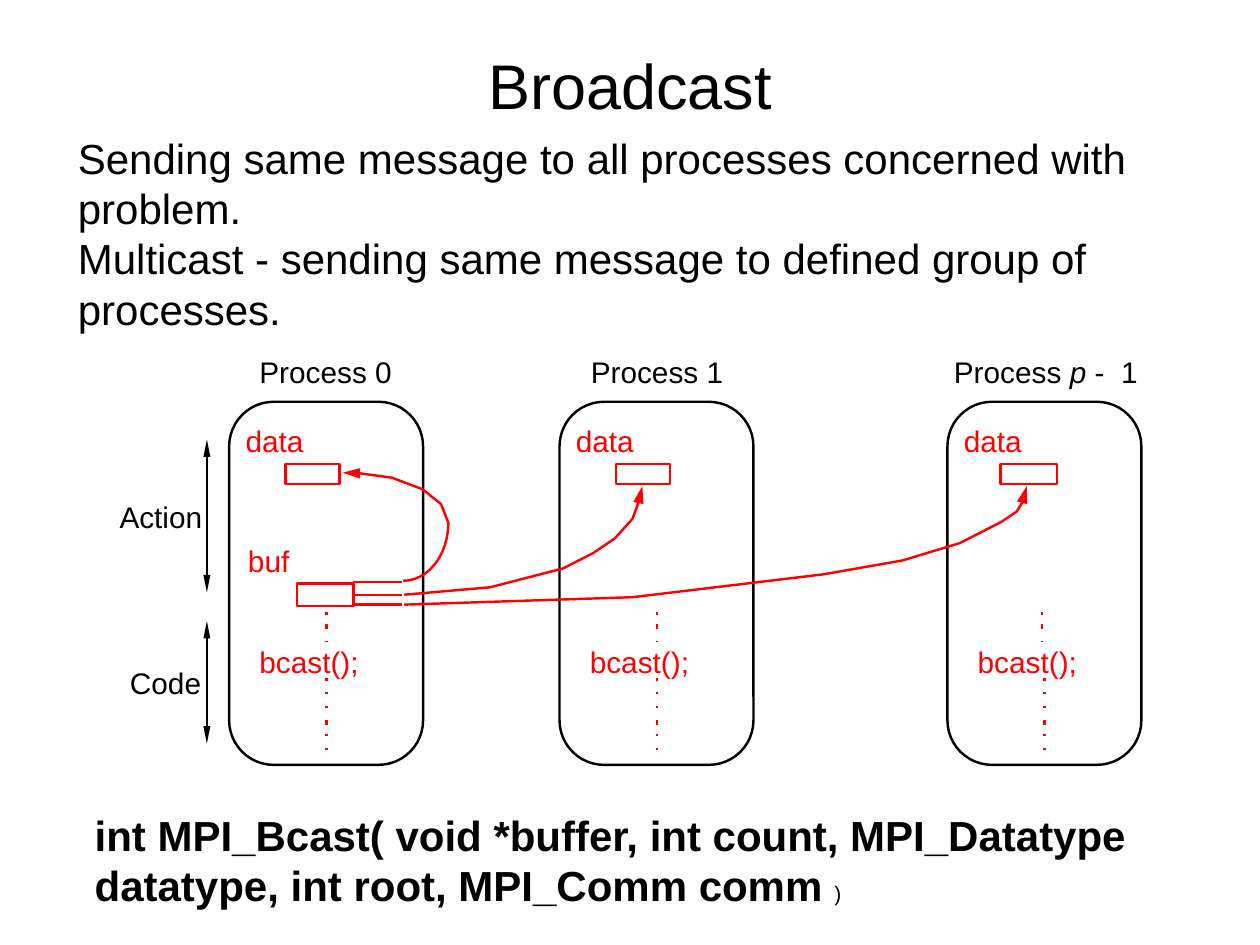
import math
import pptx
import pptx.util
import pptx.dml.color
import pptx.enum.shapes
import pptx.enum.text
import pptx.oxml.ns
import lxml.etree

Cm, Pt = pptx.util.Cm, pptx.util.Pt
RGB = pptx.dml.color.RGBColor
SHAPE = pptx.enum.shapes.MSO_SHAPE
TEXT = pptx.enum.text


class Theme:
    ink = RGB(0, 0, 0)
    red = RGB(255, 0, 0)
    font = "Arial"
    title, body, label, small = 36, 24, 17, 12
    line = 1.39


# Content: a run is (text, style), with style made of "b" and "i"
TITLE = "Broadcast"
BODY = ["Sending same message to all processes concerned with problem.",
        "Multicast - sending same message to defined group of processes."]
CODE = "int MPI_Bcast( void *buffer, int count, MPI_Datatype datatype, int root, MPI_Comm comm "

# Processes: left edge, name runs, name offset and width,
# data box offset and width, upper dots offset
PROCS = [
    (4.62, [("Process 0", "")], 0.61, 3, 1.14, 1.09, 1.96),
    (11.28, [("Process 1", "")], 0.63, 3, 1.14, 1.09, 1.96),
    (19.1, [("Process ", ""), ("p", "i"), (" -  1", "")], 0.13, 4.2, 1.07, 1.14, 1.9),
]
# Phases: name, left, top, width, arrow top, arrow end
PHASES = [("Action", 2.41, 10.06, 1.75, 8.86, 11.94),
          ("Code", 2.62, 13.41, 1.5, 12.52, 14.99)]

# Dots around the code call: top and length
DOTS = [(12.34, 0.05), (12.57, 0.1), (12.93, 0.01)]
DOTS_LOW = [(13.67 + 0.28 * n, 0.1 if n == 3 else 0.05) for n in range(6)]

# Message routes, from the buffer to each data box
ARC = [(8.13 + 0.91 * math.sin(n * math.pi / 24),
        10.54 + 1.17 * math.cos(n * math.pi / 24)) for n in range(13)]
ROUTES = [
    ARC + [(8.89, 10.16), (8.51, 9.86), (7.9, 9.63), (7.16, 9.53), (6.91, 9.53)],
    [(8.15, 11.99), (9.88, 11.84), (11.35, 11.46), (11.96, 11.15),
     (12.4, 10.85), (12.75, 10.46), (12.9, 10.06), (12.95, 9.8)],
    [(8.15, 12.19), (12.75, 12.04), (16.59, 11.58), (18.19, 11.3), (19.35, 10.95),
     (20.19, 10.52), (20.5, 10.31), (20.65, 10.06), (20.7, 9.8)],
]
STUBS = [11.73, 11.99, 12.19]

deck = pptx.Presentation()
deck.slide_width, deck.slide_height = Cm(25.4), Cm(19.05)
slide = deck.slides.add_slide(deck.slide_layouts[6])
shapes = slide.shapes


def put(para, text, size, color=Theme.ink, style=""):
    run = para.add_run()
    run.text = text
    font = run.font
    font.name, font.size = Theme.font, Pt(size)
    font.bold, font.italic = "b" in style, "i" in style
    font.color.rgb = color


def frame(left, top, wide, high, inset=True):
    part = shapes.add_textbox(Cm(left), Cm(top), Cm(wide), Cm(high)).text_frame
    part.word_wrap = True
    if not inset:
        part.margin_left = part.margin_right = part.margin_top = part.margin_bottom = 0
    return part


def label(left, top, wide, runs, color=Theme.ink):
    para = frame(left, top, wide, 0.71, False).paragraphs[0]
    for text, style in runs:
        put(para, text, Theme.label, color, style)


def stroke(item, color, ends=(), wide="med"):
    item.line.color.rgb = color
    item.line.width = Pt(Theme.line)
    for end in ends:
        tag = pptx.oxml.ns.qn("a:" + end)
        lxml.etree.SubElement(item.line._get_or_add_ln(), tag,
                              type="triangle", w=wide, len="lg")


def box(kind, left, top, wide, high, color):
    item = shapes.add_shape(kind, Cm(left), Cm(top), Cm(wide), Cm(high))
    item.shadow.inherit = False
    item.fill.background()
    stroke(item, color)
    return item


def line(x1, y1, x2, y2, color, ends=()):
    item = shapes.add_connector(pptx.enum.shapes.MSO_CONNECTOR.STRAIGHT,
                                Cm(x1), Cm(y1), Cm(x2), Cm(y2))
    stroke(item, color, ends, "sm")
    lxml.etree.SubElement(item._element.spPr, pptx.oxml.ns.qn("a:effectLst"))


def route(points):
    spots = [(Cm(x), Cm(y)) for x, y in points]
    pen = shapes.build_freeform(*spots[0])
    pen.add_line_segments(spots[1:], close=False)
    item = pen.convert_to_shape()
    item.shadow.inherit = False
    item.fill.background()
    stroke(item, Theme.red, ["tailEnd"])


# Title and body
head = frame(1.91, 0.64, 21.59, 2.11)
head.vertical_anchor = TEXT.MSO_ANCHOR.MIDDLE
head.paragraphs[0].alignment = TEXT.PP_ALIGN.CENTER
put(head.paragraphs[0], TITLE, Theme.title)

para = frame(1.32, 2.54, 22.76, 4.32).paragraphs[0]
for n, text in enumerate(BODY):
    if n:
        para.add_line_break()
    put(para, text, Theme.body)

# Processes
for left, name, shift, room, inner, wide, dots in PROCS:
    label(left + shift, 7.14, room, name)
    box(SHAPE.ROUNDED_RECTANGLE, left, 8.1, 3.91, 7.32, Theme.ink).adjustments[0] = 0.23
    label(left + 0.33, 8.53, 1.3, [("data", "")], Theme.red)
    box(SHAPE.RECTANGLE, left + inner, 9.35, wide, 0.41, Theme.red)
    label(left + 0.61, 12.98, 2.2, [("bcast();", "")], Theme.red)
    for across, marks in ((dots, DOTS), (1.96, DOTS_LOW)):
        for top, size in marks:
            line(left + across, top, left + across, top + size, Theme.red)

# Buffer and message routes
label(5, 10.95, 1, [("buf", "")], Theme.red)
box(SHAPE.RECTANGLE, 5.99, 11.76, 1.14, 0.46, Theme.red)
for y, points in zip(STUBS, ROUTES):
    line(7.11, y, 8.1, y, Theme.red)
    route(points)

# Phases at the left
for name, left, top, wide, start, end in PHASES:
    label(left, top, wide, [(name, "")])
    line(4.17, start, 4.17, end, Theme.ink, ["headEnd", "tailEnd"])

# Function signature
para = frame(1.91, 16.31, 21.08, 2.03, False).paragraphs[0]
put(para, CODE, Theme.body, style="b")
put(para, ")", Theme.small)

deck.save("out.pptx")
